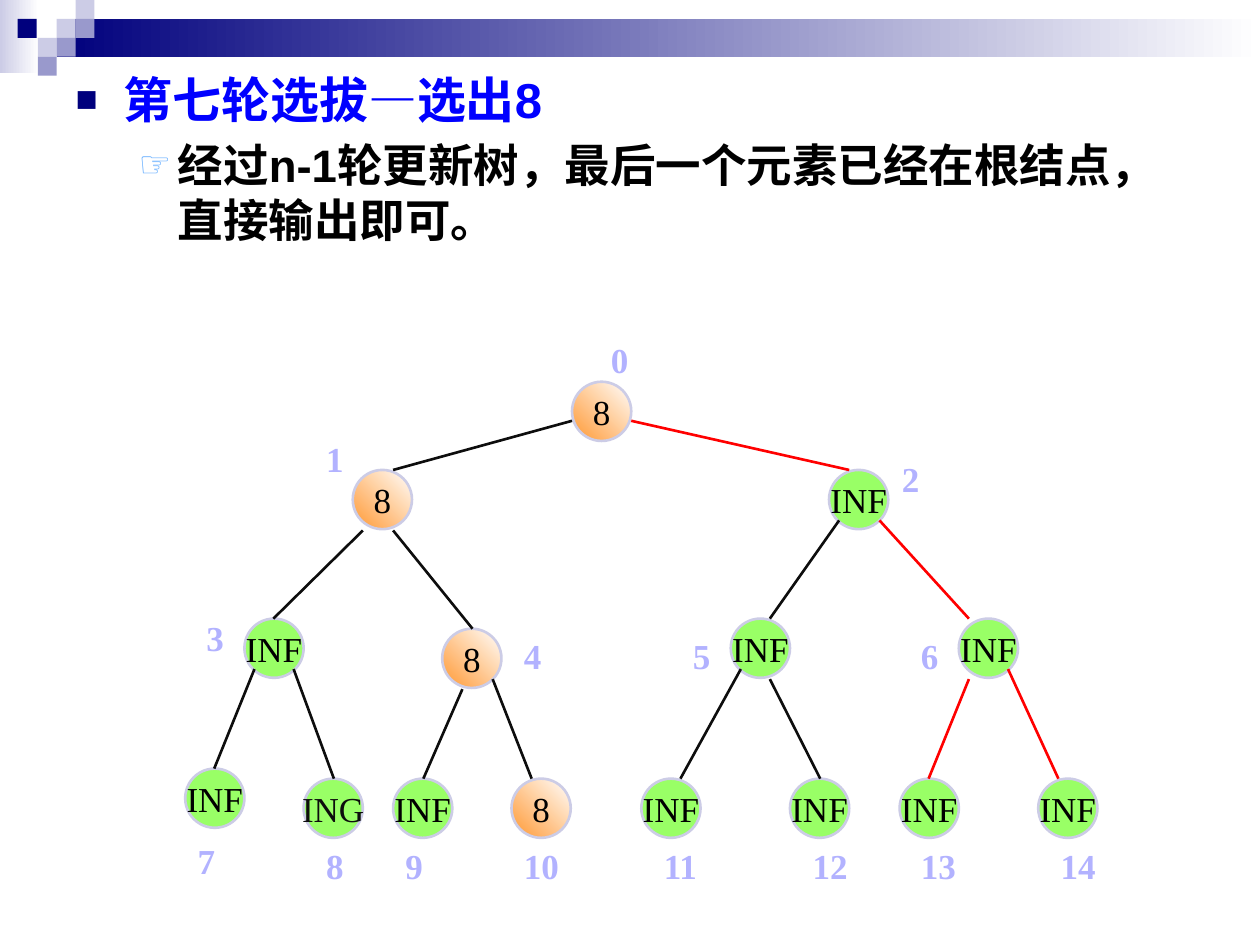
import pptx
import pptx.dml.color
import pptx.enum.shapes
import pptx.enum.text
import pptx.oxml
import pptx.oxml.ns
import pptx.util
from lxml import etree

PX = 9144  # EMU per px, 100 px to the inch
SERIF = "Times New Roman"
NODE = 47
EDGE_WIDTH = 1.5

# left, top, width, height, colour, colour the gradient fades to
BANNER = [
    (0, 0, 31, 58, "CCCCE6", "FFFFFF"),
    (45, 15, 955, 30, "00007D", "FFFFFF"),
    (45, 15, 15, 15, "CCCCE6", None),
    (60, 0, 15, 15, "CCCCE6", None),
    (60, 15, 15, 15, "9999CC", None),
    (30, 30, 15, 15, "CCCCE6", None),
    (14, 15, 15, 15, "00007D", None),
    (45, 30, 15, 15, "9999CC", None),
    (30, 45, 15, 15, "9999CC", None),
]

# text, level, size, colour, left margin, hang, bullet, bullet colour, bullet %
BODY = [
    ("第七轮选拔—选出8", 0, 28, "0000FF", 38, 38, "■", "00007D", 75),
    ("经过n-1轮更新树，最后一个元素已经在根结点，直接输出即可。",
     1, 26, "000000", 81, 31, "☞", "67AFFF", 80),
]

# In heap order: text, node corner, index label corner, edge from parent
TREE = [
    ("8", (454, 303), (475, 264), None),
    ("8", (280, 373), (249, 342), (454, 334, 312, 373)),
    ("INF", (658, 373), (706, 358), (501, 334, 674, 373)),
    ("INF", (194, 491), (154, 484), (288, 421, 217, 491)),
    ("8", (351, 499), (406, 499), (312, 421, 375, 499)),
    ("INF", (580, 491), (540, 499), (666, 413, 611, 491)),
    ("INF", (761, 491), (721, 499), (698, 413, 769, 491)),
    ("INF", (147, 610), (147, 661), (202, 531, 170, 610)),
    ("ING", (241, 618), (249, 665), (233, 531, 265, 618)),
    ("INF", (312, 618), (312, 665), (367, 547, 336, 618)),
    ("8", (406, 618), (406, 665), (391, 539, 422, 618)),
    ("INF", (509, 618), (517, 665), (588, 531, 540, 618)),
    ("INF", (627, 618), (635, 665), (611, 539, 651, 618)),
    ("INF", (714, 618), (721, 665), (769, 539, 737, 618)),
    ("INF", (824, 618), (832, 665), (800, 531, 840, 618)),
]
RED_EDGES = {2, 6, 13, 14}


def px(*lengths):
    return [pptx.util.Emu(length * PX) for length in lengths]


def rgb(colour):
    return pptx.dml.color.RGBColor.from_string(colour)


def paint(shape, colour, fade=None, angle=0):
    shape.shadow.inherit = False
    if fade is None:
        shape.fill.solid()
        shape.fill.fore_color.rgb = rgb(colour)
        return
    shape.fill.gradient()
    shape.fill.gradient_angle = angle
    for stop, stop_colour in zip(shape.fill.gradient_stops, (colour, fade)):
        stop.color.rgb = rgb(stop_colour)


def set_font(para, name, size, colour, bold=False):
    font = para.font
    font.name, font.size, font.bold = name, pptx.util.Pt(size), bold
    font.color.rgb = rgb(colour)


def set_bullet(para, margin, hang, char, colour, percent):
    props = para._p.get_or_add_pPr()
    props.set("marL", str(margin * PX))
    props.set("indent", str(-hang * PX))
    tag = pptx.oxml.ns.qn
    holder = etree.SubElement(props, tag("a:buClr"))
    etree.SubElement(holder, tag("a:srgbClr"), val=colour)
    etree.SubElement(props, tag("a:buSzPct"), val=str(percent * 1000))
    etree.SubElement(props, tag("a:buFont"), typeface="Arial")
    etree.SubElement(props, tag("a:buChar"), char=char)


def add_banner(page):
    for *place, colour, fade in BANNER:
        block = page.shapes.add_shape(
            pptx.enum.shapes.MSO_SHAPE.RECTANGLE, *px(*place))
        paint(block, colour, fade)
        block.line.fill.background()


def fill_body(body):
    body.left, body.top, body.width, body.height = px(50, 50, 900, 625)
    frame = body.text_frame
    frame.auto_size = pptx.enum.text.MSO_AUTO_SIZE.NONE
    for number, (text, level, size, colour, *bullet) in enumerate(BODY):
        para = frame.add_paragraph() if number else frame.paragraphs[0]
        para.text, para.level = text, level
        set_bullet(para, *bullet)
        para.space_before = pptx.util.Pt(0.2 * size if number else 0)
        set_font(para, "Arial", size, colour, bold=True)


def add_node(page, text, corner):
    node = page.shapes.add_shape(
        pptx.enum.shapes.MSO_SHAPE.OVAL, *px(*corner, NODE, NODE))
    if text == "8":
        paint(node, "FF9933", "FFFFFF", 45)
    else:
        paint(node, "99FF66")
    node.line.color.rgb = rgb("CCCCE6")
    node.line.width = pptx.util.Pt(EDGE_WIDTH)
    frame = node.text_frame
    frame.word_wrap = False
    frame.vertical_anchor = pptx.enum.text.MSO_ANCHOR.MIDDLE
    para = frame.paragraphs[0]
    para.text = text
    para.alignment = pptx.enum.text.PP_ALIGN.CENTER
    set_font(para, SERIF, 20, "0D0D0D" if text == "ING" else "000000")


def add_edge(page, ends, colour):
    edge = page.shapes.add_connector(
        pptx.enum.shapes.MSO_CONNECTOR.STRAIGHT, *px(*ends))
    edge.line.color.rgb = rgb(colour)
    edge.line.width = pptx.util.Pt(EDGE_WIDTH)
    etree.SubElement(edge._element.spPr, pptx.oxml.ns.qn("a:effectLst"))


def add_index(page, index, corner):
    label = page.shapes.add_textbox(*px(*corner, 34 if index < 10 else 48, 44))
    frame = label.text_frame
    frame.word_wrap = False
    frame.auto_size = pptx.enum.text.MSO_AUTO_SIZE.SHAPE_TO_FIT_TEXT
    para = frame.paragraphs[0]
    para.text = str(index)
    set_font(para, SERIF, 20, "B2B2FF", bold=True)


def main():
    deck = pptx.Presentation()
    deck.slide_width, deck.slide_height = px(1000, 750)
    page = deck.slides.add_slide(deck.slide_layouts[1])
    title = page.shapes.title._element
    title.getparent().remove(title)
    fill_body(page.placeholders[1])
    add_banner(page)
    for text, corner, _, _ in TREE:
        add_node(page, text, corner)
    for index, (_, _, corner, ends) in enumerate(TREE):
        if ends:
            add_edge(page, ends, "FF0000" if index in RED_EDGES else "0D0D0D")
        add_index(page, index, corner)
    deck.save("out.pptx")


if __name__ == "__main__":
    main()
